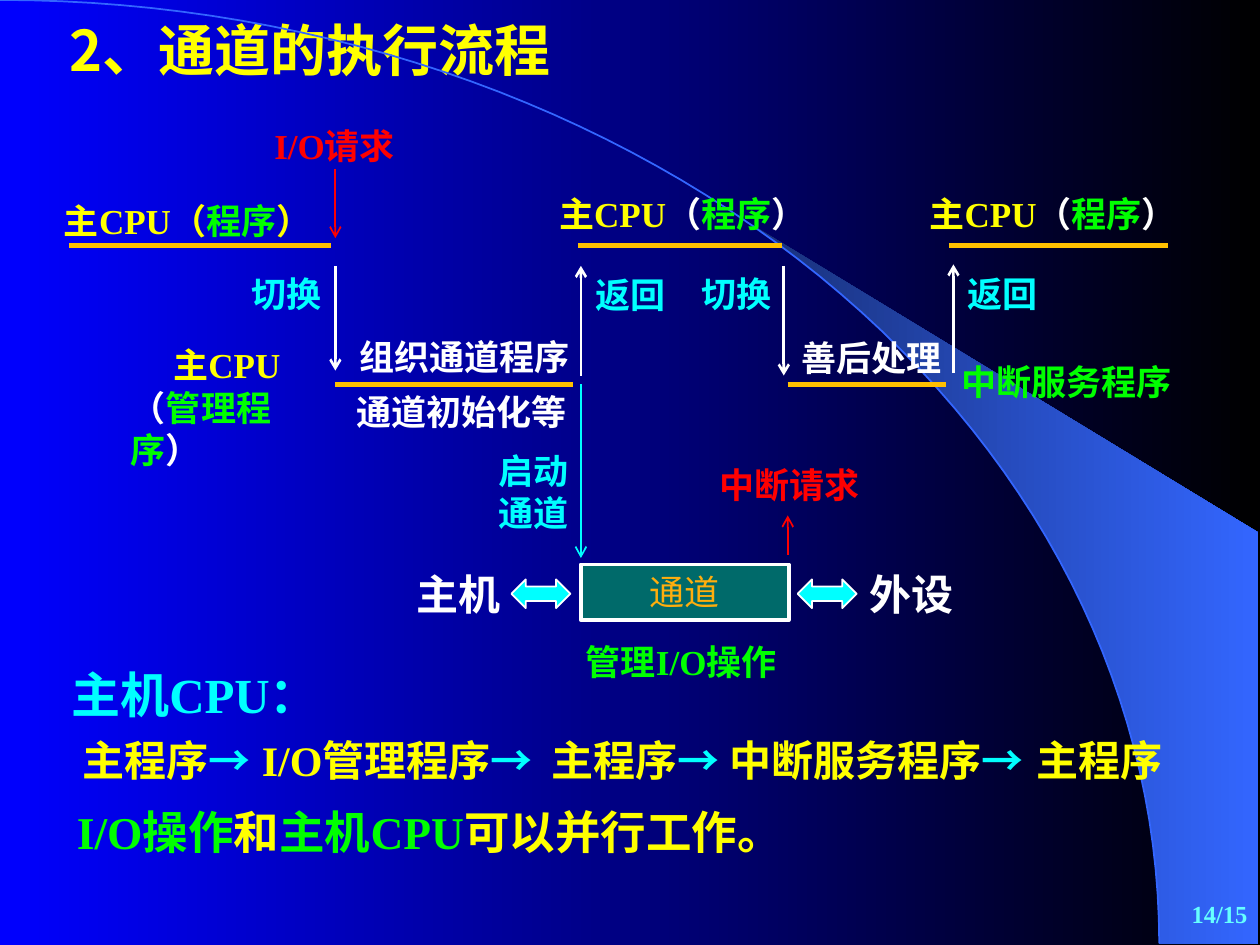
import math
from dataclasses import dataclass

from lxml import etree
from pptx import Presentation
from pptx.dml.color import RGBColor
from pptx.enum.shapes import MSO_CONNECTOR, MSO_SHAPE
from pptx.enum.text import MSO_ANCHOR, MSO_AUTO_SIZE, PP_ALIGN
from pptx.oxml.ns import qn
from pptx.util import Cm, Pt

STRAIGHT = MSO_CONNECTOR.STRAIGHT
RECTANGLE, DOUBLE_ARROW = MSO_SHAPE.RECTANGLE, MSO_SHAPE.LEFT_RIGHT_ARROW
LEFT, CENTER, RIGHT = PP_ALIGN.LEFT, PP_ALIGN.CENTER, PP_ALIGN.RIGHT
TOP, MIDDLE = MSO_ANCHOR.TOP, MSO_ANCHOR.MIDDLE
NO_AUTOFIT = MSO_AUTO_SIZE.NONE


@dataclass(frozen=True)
class Theme:
    yellow: str = "FFFF00"
    green: str = "00FF00"
    white: str = "FFFFFF"
    cyan: str = "00FFFF"
    red: str = "FF0000"
    amber: str = "FFC000"
    orange: str = "FFAE0D"
    teal: str = "006A6A"
    page_number: str = "66FFFF"
    arc: str = "3366FF"
    background: tuple = ("0000FF", "000000")
    wedge: tuple = ("182F76", "3366FF")
    serif: str = "Times New Roman"
    sans: str = "Noto Sans CJK SC"
    small: int = 14
    label: int = 20
    flow: int = 24
    closing: int = 26
    heading: int = 28
    title: int = 32


T = Theme()

# Content: lengths in cm; a paragraph is a list of (text, colour) spans
TITLE = "2、通道的执行流程"
PAGE_NUMBER = "14/15"
CPU = ("主CPU", T.yellow)
PROGRAM = [("（", T.white), ("程序", T.green), ("）", T.white)]
MANAGER = [("（", T.white), ("管理程序", T.green), ("）", T.white)]

# Diagram labels: spans, left, top, width
LABELS = [
    ([("主CPU（", T.yellow), ("程序", T.green), ("）", T.yellow)], 1.04, 3.89, 5.82),
    ([CPU, *PROGRAM], 11.02, 3.76, 5.82),
    ([CPU, *PROGRAM], 18.49, 3.76, 5.82),
    ([("I/O请求", T.red)], 5.28, 2.39, 3.1),
    ([("切换", T.cyan)], 4.83, 5.36, 1.9),
    ([("返回", T.cyan)], 11.76, 5.38, 1.9),
    ([("切换", T.cyan)], 13.89, 5.36, 1.9),
    ([("返回", T.cyan)], 19.25, 5.36, 1.9),
    ([("组织通道程序", T.white)], 6.99, 6.63, 4.75),
    ([("通道初始化等", T.white)], 6.93, 7.75, 4.75),
    ([("善后处理", T.white)], 15.9, 6.65, 3.33),
    ([("中断服务程序", T.green)], 19.13, 7.14, 4.75),
    ([("中断请求", T.red)], 14.25, 9.22, 3.33),
    ([("管理I/O操作", T.green)], 11.56, 12.78, 4.7),
]
# Timeline bars: level -> (start, end)
BARS = {4.95: [(1.4, 6.68), (11.66, 15.77), (19.13, 23.55)],
        7.75: [(6.76, 11.56), (15.88, 19.08)]}
# Vertical arrows: x, from y, to y, colour, width in points
ARROWS = [
    (6.76, 3.4, 4.8, T.red, 1),
    (6.76, 5.36, 7.47, T.white, 1.5),
    (11.71, 7.57, 5.36, T.white, 1.5),
    (11.71, 7.75, 11.25, T.cyan, 1),
    (15.8, 5.36, 7.57, T.white, 1.5),
    (19.22, 7.52, 5.33, T.white, 1.5),
    (15.88, 11.18, 10.39, T.red, 1),
]
# Both ends of the channel: name, name left, double arrow left
ENDS = [("主机", 8.15, 10.31), ("外设", 17.27, 16.08)]
# Program sequence: name, left, width
FLOW = [("主程序", 1.42, 3.89), ("I/O管理程序", 5.03, 6.17), ("主程序", 10.87, 3.89),
        ("中断服务程序", 14.45, 6.43), ("主程序", 20.65, 3.05)]
CLOSING = [("I/O操作", T.green), ("和", T.yellow), ("主机CPU", T.green),
           ("可以并行工作。", T.yellow)]


def rgb(colour):
    return RGBColor.from_string(colour)


def write(shape, *paragraphs, size=T.label, font=T.serif, bold=True,
          aligns=(LEFT,), anchor=TOP, wrap=False):
    """Fill a shape with paragraphs, each a list of (text, colour) spans."""
    frame = shape.text_frame
    frame.word_wrap, frame.auto_size = wrap, NO_AUTOFIT
    frame.vertical_anchor = anchor
    for index, (spans, align) in enumerate(zip(paragraphs, aligns)):
        para = frame.add_paragraph() if index else frame.paragraphs[0]
        para.alignment = align
        for text, colour in spans:
            span = para.add_run()
            span.text = text
            span.font.size, span.font.bold, span.font.name = Pt(size), bold, font
            span.font.color.rgb = rgb(colour)
            east_asian = etree.SubElement(span.font._element, qn("a:ea"))
            east_asian.set("typeface", T.sans)


def add_text(page, left, top, width, height, *paragraphs, **formatting):
    box = page.shapes.add_textbox(Cm(left), Cm(top), Cm(width), Cm(height))
    write(box, *paragraphs, **formatting)


def add_line(page, start, end, colour, width, arrow=False):
    line = page.shapes.add_connector(STRAIGHT, *map(Cm, (*start, *end)))
    line.line.color.rgb, line.line.width = rgb(colour), Pt(width)
    if arrow:
        etree.SubElement(line.line._get_or_add_ln(), qn("a:tailEnd"), type="arrow")
    etree.SubElement(line._element.spPr, qn("a:effectLst"))


def add_block(page, kind, left, top, width, height, fill, line_width):
    block = page.shapes.add_shape(kind, Cm(left), Cm(top), Cm(width), Cm(height))
    block.shadow.inherit = False
    block.fill.solid()
    block.fill.fore_color.rgb = rgb(fill)
    block.line.color.rgb, block.line.width = rgb(T.white), Pt(line_width)
    return block


def paint_gradient(fill, colours):
    fill.gradient()
    fill.gradient_angle = 0
    for stop, position, colour in zip(fill.gradient_stops, (0, 1), colours):
        stop.position, stop.color.rgb = position, rgb(colour)


def arc_points(start_angle, steps=60):
    """Points of the ellipse around the lower left corner, down to its right end."""
    angles = [math.radians(start_angle * (1 - i / steps)) for i in range(steps + 1)]
    return [(Cm(23.37 * math.cos(a)), Cm(19.02 * (1 - math.sin(a)))) for a in angles]


def add_outline(page, points, closed):
    builder = page.shapes.build_freeform(*points[0])
    builder.add_line_segments(points[1:], close=closed)
    outline = builder.convert_to_shape()
    outline.shadow.inherit = False
    return outline


def main():
    deck = Presentation()
    deck.slide_width, deck.slide_height = Cm(25.4), Cm(19.05)
    page = deck.slides.add_slide(deck.slide_layouts[5])

    # Backdrop: gradient, wedge and arc
    paint_gradient(page.background.fill, T.background)
    corners = [(Cm(25.37), Cm(19.02)), (Cm(25.37), Cm(10.74))]
    wedge = add_outline(page, corners + arc_points(50.2), True)
    paint_gradient(wedge.fill, T.wedge)
    wedge.line.fill.background()
    arc = add_outline(page, arc_points(90), False)
    arc.fill.background()
    arc.line.color.rgb, arc.line.width = rgb(T.arc), Pt(1)

    # Title and page number
    title = page.shapes.title
    title.left, title.top, title.width, title.height = map(Cm, (1.14, 0.18, 10.72, 1.63))
    write(title, [(TITLE, T.yellow)], size=T.title, font=T.sans, anchor=MIDDLE)
    add_text(page, 20.12, 17.78, 5.28, 1.27, [(PAGE_NUMBER, T.page_number)],
             size=T.small, aligns=(RIGHT,), anchor=MIDDLE, wrap=True)

    # Timeline
    for level, bars in BARS.items():
        for start, end in bars:
            add_line(page, (start, level), (end, level), T.amber, 3)
    for x, start, end, colour, width in ARROWS:
        add_line(page, (x, start), (x, end), colour, width, arrow=True)
    for spans, left, top, width in LABELS:
        add_text(page, left, top, width, 1.12, spans)
    add_text(page, 2.39, 6.81, 4.37, 2.79, [CPU], MANAGER,
             aligns=(CENTER, LEFT), wrap=True)
    add_text(page, 9.32, 8.94, 2.39, 1.96, [("启动通道", T.cyan)],
             aligns=(RIGHT,), wrap=True)

    # Channel between host and device
    channel = add_block(page, RECTANGLE, 11.71, 11.38, 4.19, 1.12, T.teal, 2.25)
    write(channel, [("通道", T.orange)], font=T.sans, bold=False,
          aligns=(CENTER,), wrap=True)
    for name, name_left, arrow_left in ENDS:
        add_block(page, DOUBLE_ARROW, arrow_left, 11.68, 1.19, 0.58, T.cyan, 1)
        add_text(page, name_left, 11.33, 2.18, 1.27, [(name, T.white)],
                 size=T.flow, font=T.sans)

    # Program sequence and conclusion
    add_text(page, 1.19, 13.28, 5.97, 1.45, [("主机CPU：", T.cyan)], size=T.heading)
    for index, (name, left, width) in enumerate(FLOW, start=1):
        link = [("→", T.cyan)] if index < len(FLOW) else []
        add_text(page, left, 14.68, width, 1.27, [(name, T.yellow), *link], size=T.flow)
    add_text(page, 1.3, 16.08, 15.39, 1.37, CLOSING, size=T.closing)

    deck.save("out.pptx")


if __name__ == "__main__":
    main()
